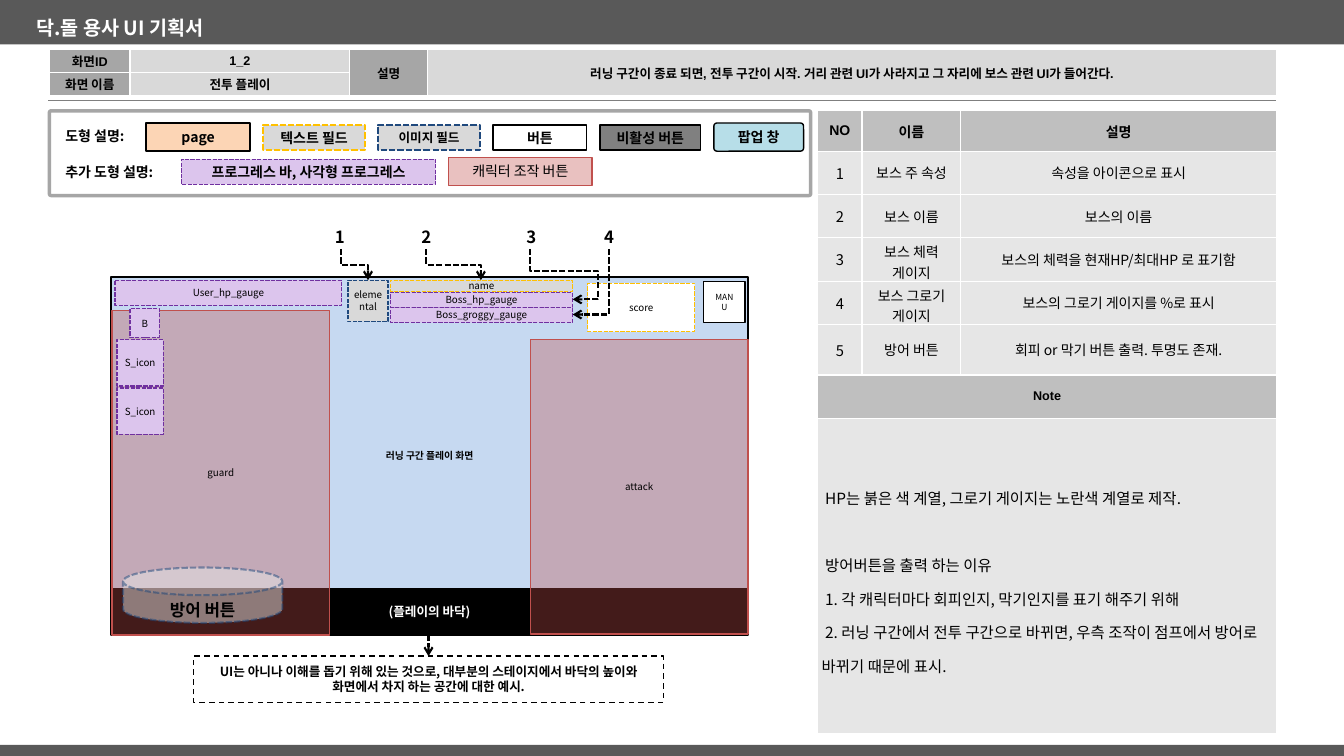
from lxml.etree import SubElement
from pptx import Presentation
from pptx.dml.color import RGBColor
from pptx.enum.dml import MSO_LINE as Dash
from pptx.enum.shapes import MSO_CONNECTOR as Link, MSO_SHAPE as Form
from pptx.enum.text import MSO_ANCHOR as Anchor, MSO_AUTO_SIZE as Fit, PP_ALIGN as Align
from pptx.oxml.ns import qn
from pptx.util import Inches, Pt

BLACK = RGBColor(0x00, 0x00, 0x00)
WHITE = RGBColor(0xFF, 0xFF, 0xFF)
CHARCOAL = RGBColor(0x59, 0x59, 0x59)
RULE_GRAY = RGBColor(0x7F, 0x7F, 0x7F)
DISABLED = RGBColor(0x80, 0x80, 0x80)
FRAME_GRAY = RGBColor(0xA6, 0xA6, 0xA6)
HEAD_GRAY = RGBColor(0xBF, 0xBF, 0xBF)
FIELD_GRAY = RGBColor(0xD9, 0xD9, 0xD9)
CELL_GRAY = RGBColor(0xE6, 0xE6, 0xE6)
PEACH = RGBColor(0xFC, 0xD5, 0xB5)
AQUA = RGBColor(0xB7, 0xDE, 0xE8)
SKY = RGBColor(0xC6, 0xD9, 0xF1)
LILAC = RGBColor(0xDC, 0xC5, 0xED)
PURPLE = RGBColor(0x70, 0x30, 0xA0)
GOLD = RGBColor(0xFF, 0xC0, 0x00)
NAVY = RGBColor(0x1F, 0x49, 0x7D)
RED = RGBColor(0xC0, 0x50, 0x4D)
DOTS = Dash.SQUARE_DOT

PAGE = dict(fill=PEACH, line=BLACK)
TEXT_FIELD = dict(fill=FIELD_GRAY, line=GOLD, dash=DOTS)
IMAGE_FIELD = dict(fill=FIELD_GRAY, line=NAVY, dash=DOTS)
BUTTON = dict(fill=WHITE, line=BLACK)
PROGRESS = dict(fill=LILAC, line=PURPLE, dash=DOTS)
CONTROL = dict(fill=RED, line=RED, alpha=35)
SMALL = dict(size=7, bold=False)
ICON = dict(PROGRESS, **SMALL, inset=0.04)


class Wireframe:
    """Draws the elements of a UI planning page in one style."""

    font = "Noto Sans CJK KR"

    def __init__(self, deck):
        self.page = deck.slides.add_slide(deck.slide_layouts[5])
        self.shapes = self.page.shapes

    def set_text(self, frame, text, size, bold=True, color=BLACK, align=Align.CENTER, font=None):
        frame.text = text
        for para in frame.paragraphs:
            para.alignment = align
            for span in para.runs:
                span.font.size, span.font.bold = Pt(size), bold
                span.font.color.rgb = color
                span.font.name = font or self.font
                SubElement(span._r.get_or_add_rPr(), qn("a:ea"), typeface=self.font)

    def title(self, text, left, top, width, height):
        box = self.shapes.title
        box.left, box.top, box.width, box.height = map(Inches, (left, top, width, height))
        self.set_text(box.text_frame, text, 14, color=WHITE, align=Align.LEFT)
        box.text_frame.vertical_anchor = Anchor.TOP
        box.text_frame.auto_size = Fit.NONE

    def fade(self, paint, percent):
        for color in paint.iter(qn("a:srgbClr")):
            SubElement(color, qn("a:alpha"), val=str(percent * 1000))

    def box(self, place, text="", form=Form.RECTANGLE, fill=None, line=None, weight=1, dash=None,
            alpha=None, line_alpha=None, corner=None, inset=None, anchor=Anchor.MIDDLE,
            size=10, bold=True, color=BLACK):
        box = self.shapes.add_shape(form, *map(Inches, place))
        box.shadow.inherit = False
        if corner is not None:
            box.adjustments[0] = corner
        if fill is None:
            box.fill.background()
        else:
            box.fill.solid()
            box.fill.fore_color.rgb = fill
        if alpha:
            self.fade(box.element.spPr.find(qn("a:solidFill")), alpha)
        if line is None:
            box.line.fill.background()
        else:
            box.line.color.rgb, box.line.width = line, Pt(weight)
            if dash:
                box.line.dash_style = dash
        if line_alpha:
            self.fade(box.element.spPr.find(qn("a:ln")), line_alpha)
        if text:
            frame = box.text_frame
            frame.word_wrap, frame.vertical_anchor = True, anchor
            if inset is not None:
                frame.margin_left = frame.margin_right = Inches(inset)
            self.set_text(frame, text, size, bold, color)
        return box

    def label(self, place, text):
        box = self.shapes.add_textbox(*map(Inches, place))
        box.text_frame.word_wrap = False
        self.set_text(box.text_frame, text, 10, align=Align.LEFT)

    def line(self, kind, start, end, color, weight):
        line = self.shapes.add_connector(kind, *map(Inches, (*start, *end)))
        line.line.color.rgb, line.line.width = color, Pt(weight)
        SubElement(line.element.spPr, qn("a:effectLst"))
        return line

    def arrow(self, start, end, preset="bentConnector3", bends=(0.5,), rightward=False):
        across, down = abs(end[0] - start[0]), end[1] - start[1]
        left = (start[0] + end[0] - down) / 2
        top = (start[1] + end[1] - across) / 2
        line = self.line(Link.ELBOW, (left, top), (left + down, top + across), BLACK, 1.5)
        line.line.dash_style = DOTS
        properties = line.element.spPr
        properties.xfrm.set("rot", str((270 if rightward else 90) * 60000))
        if rightward:
            properties.xfrm.set("flipH", "1")
        outline = properties.find(qn("a:prstGeom"))
        outline.set("prst", preset)
        guides = outline.find(qn("a:avLst"))
        for number, bend in enumerate(bends, 1):
            SubElement(guides, qn("a:gd"), name=f"adj{number}", fmla=f"val {round(bend * 100000)}")
        SubElement(properties.find(qn("a:ln")), qn("a:tailEnd"), type="arrow")

    def table(self, left, top, widths, heights):
        place = map(Inches, (left, top, sum(widths), sum(heights)))
        table = self.shapes.add_table(len(heights), len(widths), *place).table
        table.first_row = table.horz_banding = False
        for column, width in zip(table.columns, widths):
            column.width = Inches(width)
        for row, height in zip(table.rows, heights):
            row.height = Inches(height)
        for cell in table.iter_cells():
            for side in ("a:lnL", "a:lnR", "a:lnT", "a:lnB"):
                border = SubElement(cell._tc.get_or_add_tcPr(), qn(side), w=str(Pt(1)))
                SubElement(SubElement(border, qn("a:solidFill")), qn("a:srgbClr"), val=str(WHITE))
        return table

    def cell(self, cell, text, fill, size, margin=0.04, **style):
        cell.fill.solid()
        cell.fill.fore_color.rgb = fill
        cell.vertical_anchor = Anchor.MIDDLE
        cell.margin_left = cell.margin_right = Inches(0.04)
        cell.margin_top = cell.margin_bottom = Inches(margin)
        self.set_text(cell.text_frame, text, size, **style)


def draw_header(ui):
    bar = ui.box((0, 0, 13.33, 0.44), fill=CHARCOAL)
    ui.shapes.title.element.addprevious(bar.element)
    ui.title("닥.돌 용사 UI 기획서", 0.26, 0.11, 12.7, 0.34)
    ui.line(Link.STRAIGHT, (0.48, 1), (12.66, 1), RULE_GRAY, 0.75)
    ui.box((0, 7.39, 13.33, 0.11), fill=CHARCOAL)
    table = ui.table(0.49, 0.49, (0.8, 2.18, 0.77, 8.42), (0.23, 0.23))
    for column in (2, 3):
        table.cell(0, column).merge(table.cell(1, column))
    summary = "러닝 구간이 종료 되면, 전투 구간이 시작. 거리 관련 UI가 사라지고 그 자리에 보스 관련 UI가 들어간다."
    for r, row in enumerate((("화면ID", "1_2", "설명", summary), ("화면 이름", "전투 플레이"))):
        for c, text in enumerate(row):
            fill = FIELD_GRAY if c % 2 else FRAME_GRAY
            ui.cell(table.cell(r, c), text, fill, 9, margin=0.01, font="Arial")


def draw_legend(ui):
    ui.box((1.45, 1.22, 1.03, 0.28), "page", **PAGE)
    ui.box((4.89, 1.24, 0.93, 0.25), "버튼", **BUTTON)
    ui.box((7.08, 1.22, 0.89, 0.28), "팝업 창", Form.ROUNDED_RECTANGLE, AQUA, BLACK, corner=0.11, anchor=Anchor.TOP)
    ui.box((2.61, 1.24, 1.01, 0.25), "텍스트 필드", weight=1.5, **TEXT_FIELD)
    ui.box((5.95, 1.24, 1, 0.25), "비활성 버튼", fill=DISABLED, line=BLACK)
    ui.box((0.49, 1.1, 7.55, 0.84), form=Form.ROUNDED_RECTANGLE, line=FRAME_GRAY, weight=2.5, corner=0.02)
    ui.label((0.55, 1.22, 0.85, 0.27), "도형 설명:")
    ui.label((0.55, 1.57, 1.18, 0.27), "추가 도형 설명:")
    ui.box((3.75, 1.24, 1.01, 0.25), "이미지 필드", weight=1.5, size=9, **IMAGE_FIELD)
    ui.box((1.8, 1.58, 2.52, 0.25), "프로그레스 바, 사각형 프로그레스", **PROGRESS)
    ui.box((4.45, 1.56, 1.42, 0.28), "캐릭터 조작 버튼", bold=False, **CONTROL)


def draw_screen(ui):
    for number, center in enumerate((3.37, 4.23, 5.27, 6.04), 1):
        ui.box((center - 0.2, 2.24, 0.4, 0.22), str(number), fill=WHITE, size=12)
    ui.box((1.1, 2.75, 6.32, 3.54), "러닝 구간 플레이 화면", fill=SKY, line=BLACK, size=7)
    ui.box((1.1, 5.84, 6.32, 0.46), "(플레이의 바닥)", fill=BLACK, line=BLACK, size=9, color=WHITE)
    ui.box((1.11, 3.08, 2.16, 3.22), "guard", **CONTROL, **SMALL)
    ui.box((5.26, 3.37, 2.16, 2.92), "attack", **CONTROL, **SMALL)
    ui.box((5.83, 2.81, 1.06, 0.48), "score", fill=WHITE, line=GOLD, dash=DOTS, **SMALL)
    ui.box((1.29, 3.06, 0.29, 0.29), "B", **PROGRESS, **SMALL)
    for top in (3.37, 3.85):
        ui.box((1.16, top, 0.46, 0.46), "S_icon", **ICON)
    ui.box((1.14, 2.78, 2.25, 0.25), "User_hp_gauge", **PROGRESS, **SMALL)
    ui.box((6.98, 2.79, 0.41, 0.41), "MANU", size=6, bold=False, **BUTTON)
    ui.box((1.92, 6.51, 4.66, 0.46), "UI는 아니나 이해를 돕기 위해 있는 것으로, 대부분의 스테이지에서 바닥의 높이와 "
           "화면에서 차지 하는 공간에 대한 예시.", fill=WHITE, line=BLACK, dash=Dash.DASH, size=9)
    for top, text in ((2.9, "Boss_hp_gauge"), (3.05, "Boss_groggy_gauge")):
        ui.box((3.87, top, 1.81, 0.15), text, **PROGRESS, **SMALL)
    ui.box((3.87, 2.78, 1.81, 0.11), "name", **TEXT_FIELD, **SMALL)
    ui.box((3.45, 2.78, 0.4, 0.41), "elemental", inset=0.04, **IMAGE_FIELD, **SMALL)
    ui.arrow((4.25, 6.3), (4.25, 6.51))
    ui.arrow((3.38, 2.47), (3.65, 2.78), rightward=True)
    ui.arrow((4.23, 2.47), (4.77, 2.78), rightward=True)
    ui.arrow((5.26, 2.47), (5.68, 2.97), "bentConnector4", (0.43, 1.6), rightward=True)
    ui.arrow((6.04, 2.47), (5.68, 3.12), "bentConnector2", ())
    ui.box((1.22, 5.63, 1.58, 0.55), "방어 버튼", Form.CAN, weight=1.5, alpha=50, line_alpha=50,
           corner=0.5, anchor=Anchor.TOP, size=12, **IMAGE_FIELD)


def draw_details(ui):
    rows = (("보스 주 속성", "속성을 아이콘으로 표시"), ("보스 이름", "보스의 이름"),
            ("보스 체력 게이지", "보스의 체력을 현재HP/최대HP 로 표기함"),
            ("보스 그로기 게이지", "보스의 그로기 게이지를 %로 표시"),
            ("방어 버튼", "회피 or 막기 버튼 출력. 투명도 존재."))
    notes = (" HP는 붉은 색 계열, 그로기 게이지는 노란색 계열로 제작.", " 방어버튼을 출력 하는 이유",
             " 1. 각 캐릭터마다 회피인지, 막기인지를 표기 해주기 위해",
             " 2. 러닝 구간에서 전투 구간으로 바뀌면, 우측 조작이 점프에서 방어로 바뀌기 때문에 표시.")
    table = ui.table(8.11, 1.1, (0.44, 0.98, 3.13), (0.4, *[0.43] * 4, 0.5, 0.43, 3.13))
    for c, text in enumerate(("NO", "이름", "설명")):
        ui.cell(table.cell(0, c), text, HEAD_GRAY, 10, font="Arial")
    for r, row in enumerate(rows, 1):
        for c, text in enumerate((str(r), *row)):
            ui.cell(table.cell(r, c), text, CELL_GRAY, 10 if c else 10.5, bold=False)
    for r in (6, 7):
        table.cell(r, 0).merge(table.cell(r, 2))
    ui.cell(table.cell(6, 0), "Note", HEAD_GRAY, 9, font="Arial")
    note = table.cell(7, 0)
    ui.cell(note, "\n".join(notes), CELL_GRAY, 11, bold=False, align=Align.LEFT)
    for para in note.text_frame.paragraphs:
        para.line_spacing = 1.5
    note.text_frame.paragraphs[1].space_before = Pt(24)


def main():
    deck = Presentation()
    deck.slide_width, deck.slide_height = Inches(13.33), Inches(7.5)
    ui = Wireframe(deck)
    for draw in (draw_header, draw_legend, draw_screen, draw_details):
        draw(ui)
    deck.save("out.pptx")


if __name__ == "__main__":
    main()
